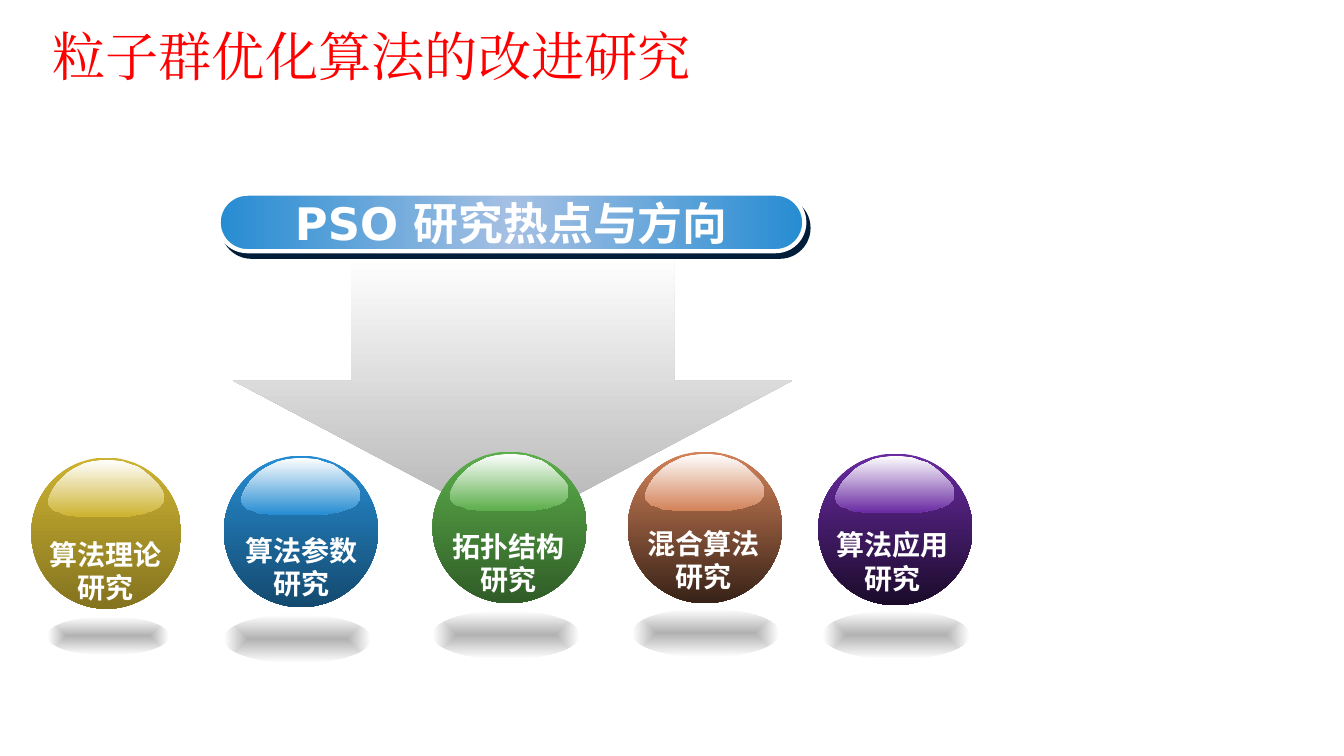
from dataclasses import dataclass

from lxml import etree
from pptx import Presentation
from pptx.dml.color import RGBColor
from pptx.enum.shapes import MSO_SHAPE as Shape
from pptx.enum.text import MSO_ANCHOR as Anchor, MSO_AUTO_SIZE as AutoSize, PP_ALIGN as Align
from pptx.oxml.ns import nsdecls, qn
from pptx.util import Cm, Pt


@dataclass(frozen=True)
class Theme:
    title: str = "FF0000"
    light: str = "FFFFFF"
    grey: str = "B2B2B2"
    pill_edge: str = "268CD2"
    pill_middle: str = "A5C0E3"
    pill_shadow: str = "001D3A"
    title_font: str = "Times New Roman"
    pill_font: str = "DejaVu Sans"
    label_font: str = "Noto Sans CJK SC"
    title_size: int = 38
    pill_size: int = 32
    label_size: int = 20


THEME = Theme()

# Lengths are centimetres; boxes are left, top, width, height.
SLIDE_SIZE = (33.87, 19.05)
TITLE = ("粒子群优化算法的改进研究", (1.07, 0.64, 23.7, 1.57))
PILL = ("PSO 研究热点与方向", (5.51, 4.88, 14.76, 1.45))
ARROW_BOX = (5.87, 6.45, 14.1, 6.88)
ARROW_SHAFT, ARROW_HEAD = 0.578, 0.544

# label lines, colour, shade of the foot in %, ball, label box, floor shadow
DIRECTIONS = [
    (["算法理论", "研究"], "CDB331", 64.71, (0.79, 11.53, 3.78, 3.81),
     (0.99, 13.41, 3.35, 1.96), (1.19, 15.54, 3.07, 0.97)),
    (["算法参数研究"], "268CD2", 52.94, (5.64, 11.48, 3.89, 3.82),
     (5.84, 13.31, 3.51, 1.96), (5.64, 15.49, 3.71, 1.22)),
    (["拓扑结构研究"], "5BAE4A", 52.94, (10.9, 11.38, 3.89, 3.82),
     (11.07, 13.21, 3.51, 1.96), (10.9, 15.39, 3.71, 1.22)),
    (["混合算法", "研究"], "D38259", 26.28, (15.82, 11.38, 3.89, 3.82),
     (16.05, 13.13, 3.35, 1.96), (15.93, 15.34, 3.71, 1.22)),
    (["算法应用", "研究"], "692AA2", 26.28, (20.62, 11.43, 3.89, 3.82),
     (20.83, 13.18, 3.35, 1.96), (20.73, 15.39, 3.71, 1.22)),
]

# Outline of the gloss, in hundredths of a 153 by 151 ball
BALL_GRID = (153, 151)
GLOSS = [
    (134, 34), (135, 38), (135, 44), (133, 46), (131, 49), (128, 51), (124, 53),
    (120, 54), (115, 56), (109, 57), (104, 58), (97, 59), (88, 59), (60, 59),
    (48, 59), (43, 58), (38, 58), (34, 57), (30, 55), (27, 54), (23, 53), (21, 51),
    (19, 49), (18, 47), (17, 44), (18, 41), (19, 38), (22, 32), (26, 26), (31, 21),
    (36, 16), (42, 12), (48, 9), (54, 6), (62, 4), (69, 3), (77, 2), (85, 3),
    (93, 4), (101, 7), (108, 9), (114, 13), (120, 18), (125, 23), (130, 28),
]


def cm(box):
    return [Cm(length) for length in box]


def fill_gradient(shape, stops, angle=None):
    """Stops are (position %, colour, shade % or None); no angle means from the centre."""
    stop_xml = ""
    for position, colour, shade in stops:
        change = f'<a:gamma/><a:shade val="{round(shade * 1000)}"/><a:invGamma/>' if shade else ""
        stop_xml += (f'<a:gs pos="{position * 1000}"><a:srgbClr val="{colour}">'
                     f'{change}</a:srgbClr></a:gs>')
    if angle is None:
        direction = ('<a:path path="shape"><a:fillToRect l="50000" t="50000" '
                     'r="50000" b="50000"/></a:path>')
    else:
        direction = f'<a:lin ang="{angle * 60000}" scaled="1"/>'
    shape.fill.background()
    properties = shape._element.spPr
    properties.replace(properties.find(qn("a:noFill")), etree.fromstring(
        f'<a:gradFill {nsdecls("a")} rotWithShape="1"><a:gsLst>{stop_xml}</a:gsLst>'
        f'{direction}</a:gradFill>'))


def finish(shape, stops, angle=None):
    shape.shadow.inherit = False
    shape.line.fill.background()
    fill_gradient(shape, stops, angle)
    return shape


def write(frame, lines, font, size, colour, bold=False, align=Align.CENTER):
    frame.text = "\n".join(lines)
    for paragraph in frame.paragraphs:
        paragraph.alignment = align
        for run in paragraph.runs:
            run.font.size, run.font.bold, run.font.name = Pt(size), bold, font
            run.font.color.rgb = RGBColor.from_string(colour)
            east_asian = etree.SubElement(run._r.get_or_add_rPr(), qn("a:ea"))
            east_asian.set("typeface", font)


def add_title(slide):
    text, box = TITLE
    frame = slide.shapes.add_textbox(*cm(box)).text_frame
    frame.word_wrap = True
    write(frame, [text], THEME.title_font, THEME.title_size, THEME.title, align=Align.LEFT)
    frame.paragraphs[0].line_spacing = 0.9


def add_arrow(slide):
    arrow = finish(slide.shapes.add_shape(Shape.UP_ARROW, *cm(ARROW_BOX)),
                   [(0, THEME.grey, None), (100, THEME.light, None)], 90)
    arrow.adjustments[0], arrow.adjustments[1] = ARROW_SHAFT, ARROW_HEAD
    arrow.rotation = 180


def add_pill(slide):
    text, box = PILL
    pill = finish(slide.shapes.add_shape(Shape.ROUNDED_RECTANGLE, *cm(box)),
                  [(0, THEME.pill_edge, None), (50, THEME.pill_middle, None),
                   (100, THEME.pill_edge, None)], 0)
    pill.adjustments[0] = 0.5
    pill.line.color.rgb = RGBColor.from_string(THEME.light)
    pill.line.width = Pt(3)
    pill._element.spPr.find(qn("a:effectLst")).append(etree.fromstring(
        f'<a:outerShdw {nsdecls("a")} blurRad="0" dist="{Pt(5)}" dir="{53 * 60000}" '
        f'algn="ctr" rotWithShape="0"><a:srgbClr val="{THEME.pill_shadow}"/></a:outerShdw>'))
    frame = pill.text_frame
    frame.word_wrap = False
    frame.vertical_anchor = Anchor.MIDDLE
    write(frame, [text], THEME.pill_font, THEME.pill_size, THEME.light, bold=True)


def add_direction(slide, lines, colour, shade, ball_box, label_box, floor_box):
    """Add one glossy ball with its label and floor shadow, as a group."""
    parts = slide.shapes.add_group_shape().shapes
    finish(parts.add_shape(Shape.OVAL, *cm(ball_box)),
           [(0, colour, None), (100, colour, shade)], 90)

    left, top, width, height = cm(ball_box)
    outline = [(left + round(x * width / BALL_GRID[0]), top + round(y * height / BALL_GRID[1]))
               for x, y in GLOSS]
    builder = parts.build_freeform(*outline[0])
    builder.add_line_segments(outline[1:], close=True)
    finish(builder.convert_to_shape(), [(0, THEME.light, None), (100, colour, None)], 90)

    frame = parts.add_textbox(*cm(label_box)).text_frame
    frame.word_wrap = len(lines) == 1
    frame.auto_size = AutoSize.SHAPE_TO_FIT_TEXT
    write(frame, lines, THEME.label_font, THEME.label_size, THEME.light, bold=True)

    finish(parts.add_shape(Shape.OVAL, *cm(floor_box)),
           [(0, THEME.grey, None), (100, THEME.light, None)])


def main():
    deck = Presentation()
    deck.slide_width, deck.slide_height = cm(SLIDE_SIZE)
    slide = deck.slides.add_slide(deck.slide_layouts[6])
    add_title(slide)
    add_arrow(slide)
    add_pill(slide)
    for direction in DIRECTIONS:
        add_direction(slide, *direction)
    deck.save("out.pptx")


if __name__ == "__main__":
    main()
